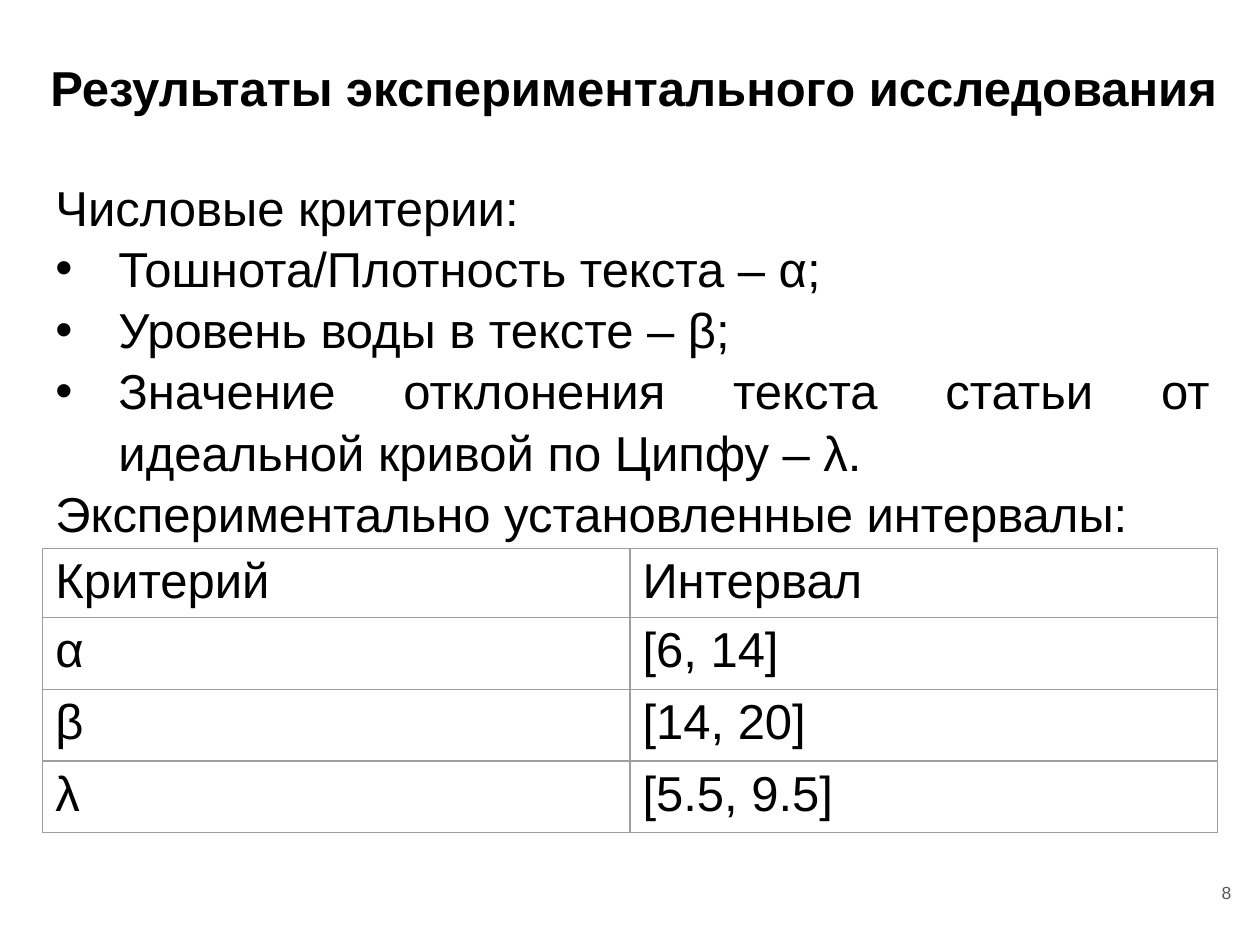
from dataclasses import dataclass

from lxml import etree
from pptx import Presentation
from pptx.dml.color import RGBColor
from pptx.enum.text import MSO_ANCHOR, MSO_AUTO_SIZE, PP_ALIGN
from pptx.oxml.ns import qn
from pptx.util import Inches, Pt

LEFT, RIGHT, JUST = PP_ALIGN.LEFT, PP_ALIGN.RIGHT, PP_ALIGN.JUSTIFY
TOP, MIDDLE = MSO_ANCHOR.TOP, MSO_ANCHOR.MIDDLE
FIXED = MSO_AUTO_SIZE.NONE


@dataclass(frozen=True)
class Theme:
    """Font, colours and type sizes."""
    font: str = "Arial"
    ink: str = "000000"
    gray: str = "595959"
    rule: str = "9E9E9E"
    paper: str = "FFFFFF"
    main: int = 28
    small: int = 10
    line: float = 0.75


THEME = Theme()

LINES = [
    ("Числовые критерии:", False),
    ("Тошнота/Плотность текста – α;", True),
    ("Уровень воды в тексте – β;", True),
    ("Значение отклонения текста статьи от идеальной кривой по Ципфу – λ.", True),
    ("Экспериментально установленные интервалы:", False),
]
ROWS = [
    ("Критерий", "Интервал"),
    ("α", "[6, 14]"),
    ("β", "[14, 20]"),
    ("λ", "[5.5, 9.5]"),
]


def write(para, text, size=THEME.main, color=THEME.ink, bold=False,
          align=LEFT, pitch=1.0):
    """Put formatted text into a paragraph."""
    para.alignment = align
    para.line_spacing = pitch
    para.space_before = para.space_after = Pt(0)
    run = para.add_run()
    run.text = text
    font = run.font
    font.name, font.size, font.bold = THEME.font, Pt(size), bold
    font.color.rgb = RGBColor.from_string(color)


def bullet(para, on):
    """Give a paragraph a hanging bullet, or none."""
    props = para._p.get_or_add_pPr()
    hang = Inches(0.5) if on else 0
    props.set("marL", str(hang))
    props.set("indent", str(-hang))
    if not on:
        etree.SubElement(props, qn("a:buNone"))
        return
    tint = etree.SubElement(props, qn("a:buClr"))
    etree.SubElement(tint, qn("a:srgbClr"), val=THEME.ink)
    etree.SubElement(props, qn("a:buFont"), typeface=THEME.font)
    etree.SubElement(props, qn("a:buChar"), char="•")


def place(shape, box, anchor=TOP):
    """Move a text shape to its box and return its frame."""
    shape.left, shape.top, shape.width, shape.height = map(Inches, box)
    frame = shape.text_frame
    frame.word_wrap, frame.auto_size = True, FIXED
    frame.vertical_anchor = anchor
    frame.margin_left = frame.margin_right = Inches(0.1)
    frame.margin_top = frame.margin_bottom = Inches(0.1)
    return frame


def add_title(slide, box):
    """Fill the title placeholder."""
    frame = place(slide.shapes.title, box)
    write(frame.paragraphs[0], "Результаты экспериментального исследования",
          bold=True, pitch=1.1)


def add_body(slide, box):
    """Fill the body placeholder with the list of criteria."""
    frame = place(slide.placeholders[1], box)
    for i, (text, mark) in enumerate(LINES):
        para = frame.add_paragraph() if i else frame.paragraphs[0]
        write(para, text, align=JUST, pitch=1.04)
        bullet(para, mark)


def add_page(slide, box):
    """Add the page number."""
    frame = place(slide.shapes.add_textbox(0, 0, 0, 0), box, MIDDLE)
    write(frame.paragraphs[0], "8", size=THEME.small, color=THEME.gray,
          align=RIGHT)


def edge(cell):
    """Draw thin lines on all four sides of a cell."""
    props = cell._tc.get_or_add_tcPr()
    for i, side in enumerate(("lnL", "lnR", "lnT", "lnB")):
        line = etree.Element(qn("a:" + side), w=str(Pt(THEME.line)))
        fill = etree.SubElement(line, qn("a:solidFill"))
        etree.SubElement(fill, qn("a:srgbClr"), val=THEME.rule)
        props.insert(i, line)


def add_grid(slide, box):
    """Add the table of intervals."""
    frame = slide.shapes.add_table(len(ROWS), 2, *map(Inches, box))
    table = frame.table
    table.first_row = table.horz_banding = False
    for r, texts in enumerate(ROWS):
        table.rows[r].height = Inches(0.57 if r else 0.55)
        for c, text in enumerate(texts):
            cell = table.cell(r, c)
            cell.fill.solid()
            cell.fill.fore_color.rgb = RGBColor.from_string(THEME.paper)
            write(cell.text_frame.paragraphs[0], text)
            edge(cell)


def main():
    """Build and save the slide."""
    deck = Presentation()
    deck.slide_width, deck.slide_height = Inches(10), Inches(7.5)
    slide = deck.slides.add_slide(deck.slide_layouts[1])
    add_title(slide, (0.3, 0.31, 9.57, 0.97))
    add_page(slide, (9.27, 6.8, 0.6, 0.57))
    add_body(slide, (0.34, 1.29, 9.36, 6.08))
    add_grid(slide, (0.34, 4.35, 9.32, 2.26))
    deck.save("out.pptx")


main()
